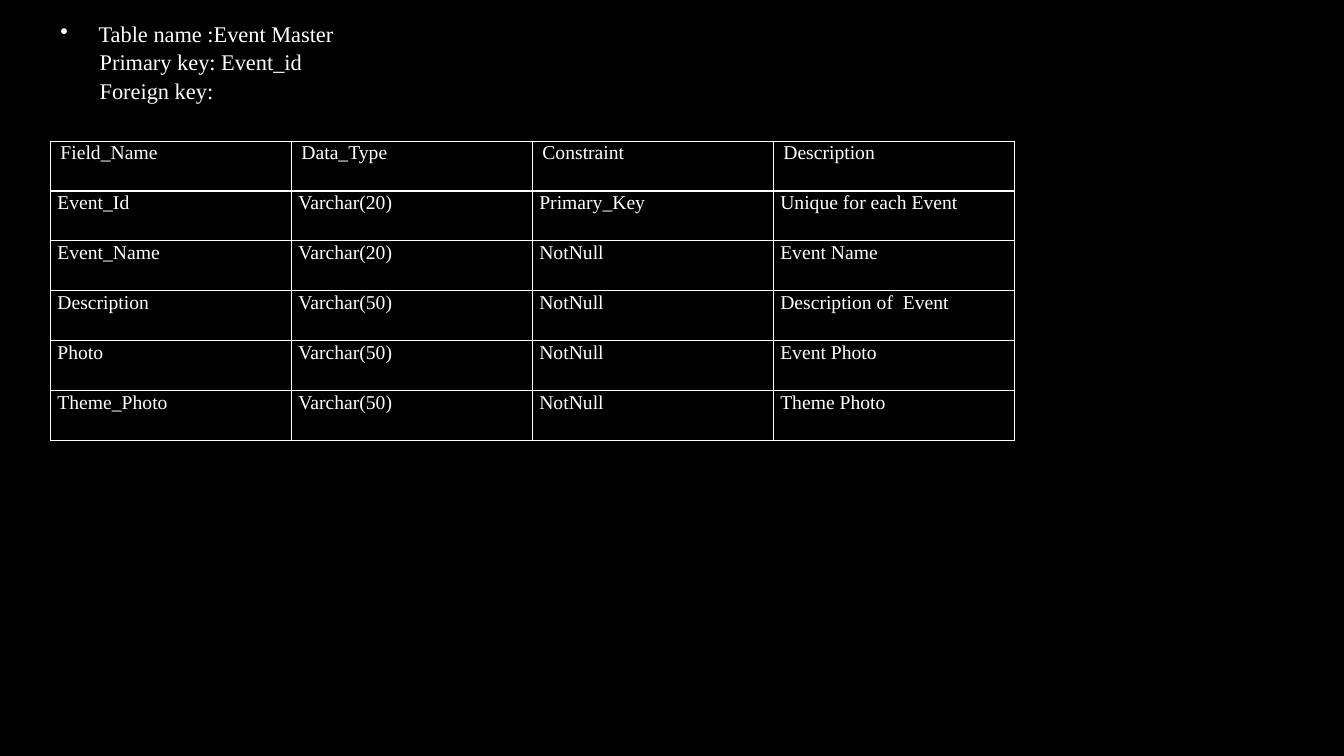
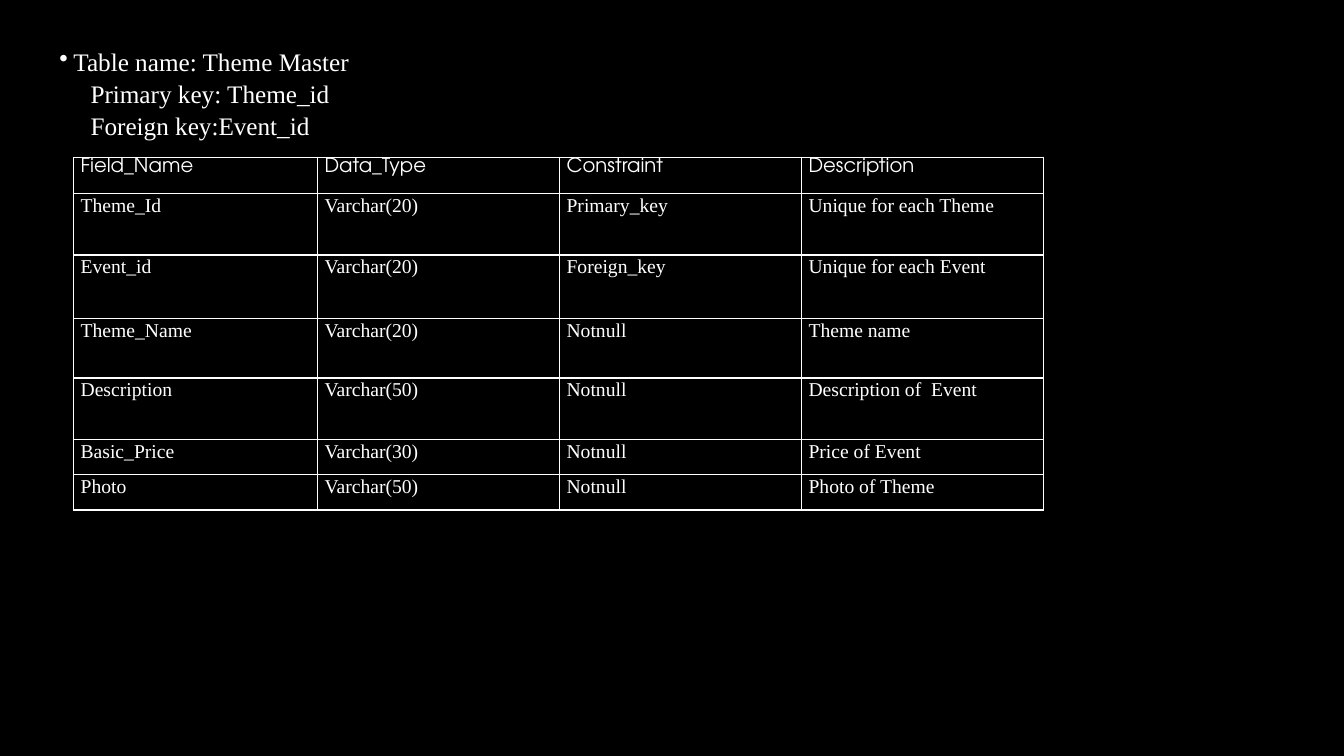
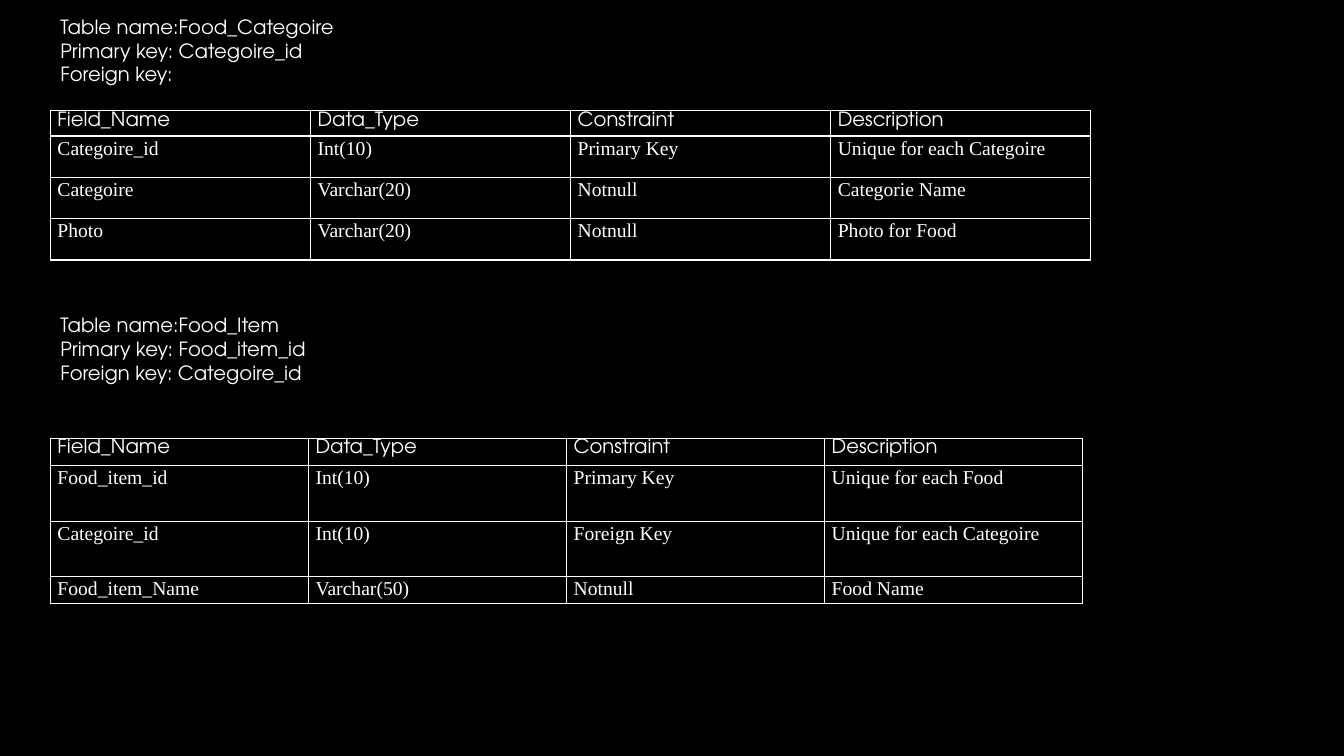
from lxml.etree import SubElement
from pptx import Presentation
from pptx.dml.color import RGBColor
from pptx.enum.text import PP_ALIGN
from pptx.oxml.ns import qn
from pptx.util import Inches, Pt

# Shared style
INK, PAPER = "FFFFFF", "000000"
SERIF, SANS = "Times New Roman", "TeX Gyre Adventor"
CELL_SIZE = 14
COLUMNS = ("Field_Name", "Data_Type", "Constraint", "Description")

# Content: each slide is a list of described tables
SLIDES = [
    [{
        "heading": ("Table name :Event Master", "Primary key: Event_id", "Foreign key:"),
        "heading_at": (0.5, 0.14, 3.91, 0.91),
        "heading_style": {"font": SERIF, "size": 16, "spacing": 1.05,
                          "bullet_indent": 0.38, "indent": 0.39},
        "table_at": (0.5, 1.4),
        "widths": [2.39] * 4,
        "heights": [0.495] * 6,
        "header": {"font": SERIF, "left": 0.1, "right": 0.4},
        "rows": [
            ("Event_Id", "Varchar(20)", "Primary_Key", "Unique for each Event"),
            ("Event_Name", "Varchar(20)", "NotNull", "Event Name"),
            ("Description", "Varchar(50)", "NotNull", "Description of  Event"),
            ("Photo", "Varchar(50)", "NotNull", "Event Photo"),
            ("Theme_Photo", "Varchar(50)", "NotNull", "Theme Photo"),
        ],
    }],
    [{
        "heading": ("Table name: Theme Master", "Primary key: Theme_id",
                    "Foreign key:Event_id"),
        "heading_at": (0.49, 0.4, 6.67, 1.01),
        "heading_style": {"font": SERIF, "size": 18, "spacing": 1.05,
                          "bullet_indent": 0.14, "indent": 0.31,
                          "align": PP_ALIGN.JUSTIFY},
        "table_at": (0.73, 1.56),
        "widths": [2.42, 2.4, 2.4, 2.4],
        "heights": [0.36, 0.61, 0.63, 0.59, 0.61, 0.35, 0.35],
        "header": {"font": SANS},
        "rows": [
            ("Theme_Id", "Varchar(20)", "Primary_key", "Unique for each Theme"),
            ("Event_id", "Varchar(20)", "Foreign_key", "Unique for each Event"),
            ("Theme_Name", "Varchar(20)", "Notnull", "Theme name"),
            ("Description", "Varchar(50)", "Notnull", "Description of  Event"),
            ("Basic_Price", "Varchar(30)", "Notnull", "Price of Event"),
            ("Photo", "Varchar(50)", "Notnull", "Photo of Theme"),
        ],
    }],
    [{
        "heading": ("Table name:Food_Categoire", "Primary key: Categoire_id",
                    "Foreign key:"),
        "heading_at": (0.5, 0.1, 4.12, 0.81),
        "heading_style": {"font": SANS, "size": 14},
        "table_at": (0.5, 1.1),
        "widths": [2.58] * 4,
        "heights": [0.25, 0.41, 0.41, 0.41],
        "header": {"font": SANS},
        "rows": [
            ("Categoire_id", "Int(10)", "Primary Key", "Unique for each Categoire"),
            ("Categoire", "Varchar(20)", "Notnull", "Categorie Name"),
            ("Photo", "Varchar(20)", "Notnull", "Photo for Food"),
        ],
    }, {
        "heading": ("Table name:Food_Item", "Primary key: Food_item_id",
                    "Foreign key: Categoire_id"),
        "heading_at": (0.5, 3.06, 3.97, 0.81),
        "heading_style": {"font": SANS, "size": 14},
        "table_at": (0.5, 4.35),
        "widths": [2.56] * 4,
        "heights": [0.27, 0.55, 0.55, 0.27],
        "header": {"font": SANS},
        "rows": [
            ("Food_item_id", "Int(10)", "Primary Key", "Unique for each Food"),
            ("Categoire_id", "Int(10)", "Foreign Key", "Unique for each Categoire"),
            ("Food_item_Name", "Varchar(50)", "Notnull", "Food Name"),
        ],
    }],
]


def color(hex_code):
    return RGBColor.from_string(hex_code)


def set_font(paragraph, name, size):
    paragraph.font.name = name
    paragraph.font.size = Pt(size)
    paragraph.font.color.rgb = color(INK)


def set_indent(paragraph, left, bullet=False):
    props = paragraph._p.get_or_add_pPr()
    props.set("marL", str(Inches(left)))
    props.set("indent", str(-Inches(left) if bullet else 0))
    if bullet:
        SubElement(props, qn("a:buChar")).set("char", "•")


def add_heading(slide, lines, at, font, size, spacing=1.0,
                bullet_indent=None, indent=0, align=PP_ALIGN.LEFT):
    frame = slide.shapes.add_textbox(*map(Inches, at)).text_frame
    frame.word_wrap = True
    frame.text = "\n".join(lines)
    for i, paragraph in enumerate(frame.paragraphs):
        paragraph.alignment = align
        paragraph.line_spacing = spacing
        bulleted = i == 0 and bullet_indent is not None
        set_indent(paragraph, bullet_indent if bulleted else indent, bulleted)
        set_font(paragraph, font, size)


def add_borders(cell):
    props = cell._tc.get_or_add_tcPr()
    for side in ("lnL", "lnR", "lnT", "lnB"):
        line = SubElement(props, qn(f"a:{side}"), w=str(Pt(1)))
        fill = SubElement(line, qn("a:solidFill"))
        SubElement(fill, qn("a:srgbClr"), val=INK)


def fill_cell(cell, text, font=SERIF, left=0.07, right=0.07, spacing=1.07):
    add_borders(cell)
    cell.fill.background()
    cell.margin_left, cell.margin_right = Inches(left), Inches(right)
    cell.margin_top = cell.margin_bottom = 0
    cell.text = text
    paragraph = cell.text_frame.paragraphs[0]
    paragraph.line_spacing = spacing
    set_font(paragraph, font, CELL_SIZE)


def add_field_table(slide, at, widths, heights, header, rows):
    size = sum(widths), sum(heights)
    table = slide.shapes.add_table(len(heights), len(widths),
                                   *map(Inches, at + size)).table
    table.first_row = table.horz_banding = False
    for column, width in zip(table.columns, widths):
        column.width = Inches(width)
    for row, height in zip(table.rows, heights):
        row.height = Inches(height)
    for r, texts in enumerate([COLUMNS, *rows]):
        style = {"spacing": 1.06, **header} if r == 0 else {}
        for c, text in enumerate(texts):
            fill_cell(table.cell(r, c), text, **style)


def main():
    deck = Presentation()
    deck.slide_width, deck.slide_height = Inches(13.33), Inches(7.5)
    background = deck.slide_master.background.fill
    background.solid()
    background.fore_color.rgb = color(PAPER)

    for parts in SLIDES:
        slide = deck.slides.add_slide(deck.slide_layouts[6])
        for part in parts:
            add_heading(slide, part["heading"], part["heading_at"],
                        **part["heading_style"])
            add_field_table(slide, part["table_at"], part["widths"],
                            part["heights"], part["header"], part["rows"])
    deck.save("out.pptx")


if __name__ == "__main__":
    main()
